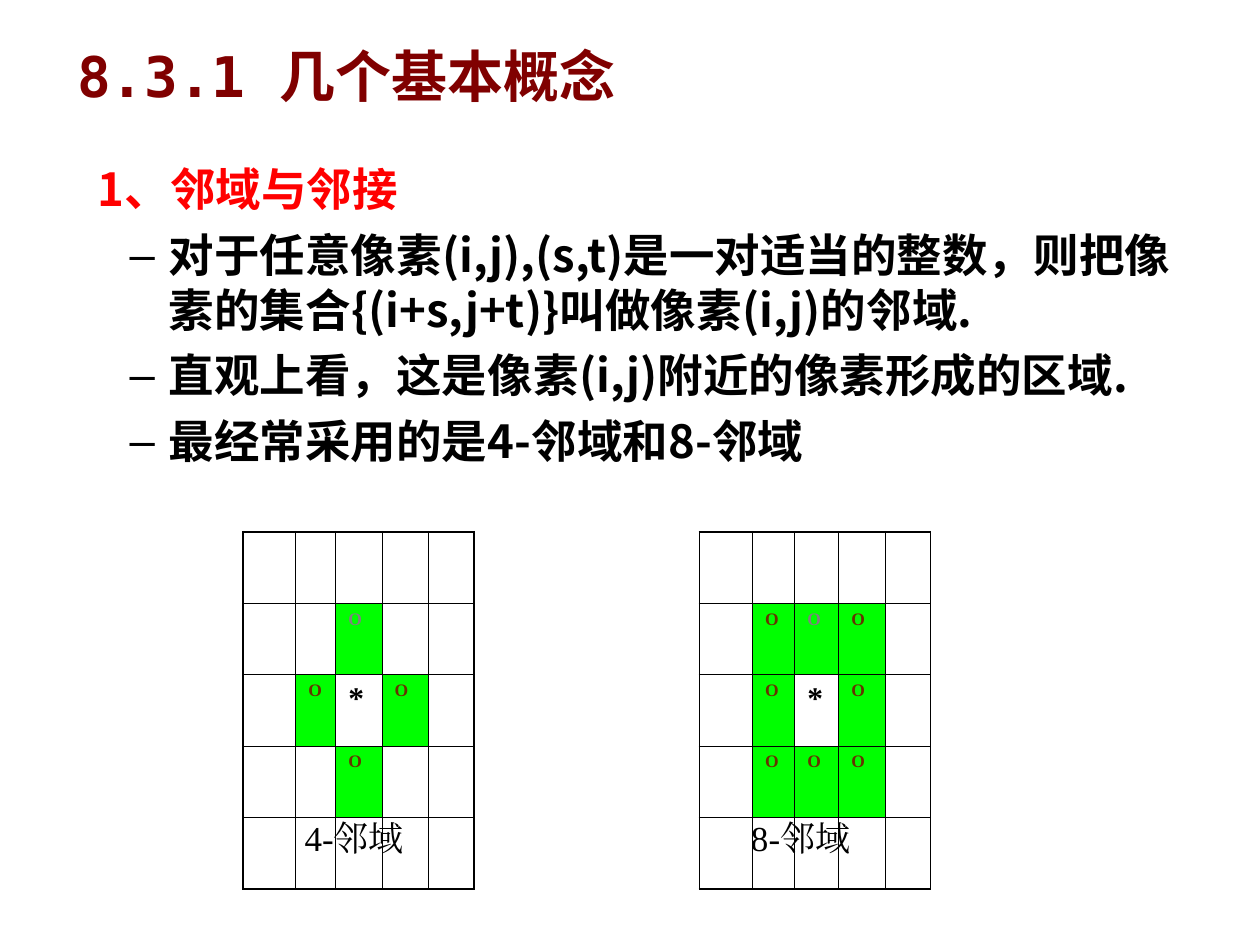
from dataclasses import dataclass

from lxml.etree import SubElement
from pptx import Presentation
from pptx.dml.color import RGBColor
from pptx.enum.text import MSO_ANCHOR, MSO_AUTO_SIZE, PP_ALIGN
from pptx.oxml.ns import qn
from pptx.util import Cm, Pt


@dataclass(frozen=True)
class Theme:
    """Colours, fonts and type sizes of the slide."""
    ink: str = "000000"
    title: str = "800000"
    heading: str = "FF0000"
    neighbour: str = "00FF00"
    mark: str = "663300"
    muted: str = "808080"
    mono: str = "DejaVu Sans Mono"
    sans: str = "Noto Sans CJK SC"
    serif: str = "Times New Roman"
    title_size: float = 32
    body_size: float = 26
    caption_size: float = 20
    centre_size: float = 18
    mark_size: float = 10
    outer_line: float = 1.08
    inner_line: float = 0.45


@dataclass(frozen=True)
class Box:
    """A region in centimetres."""
    left: float
    top: float
    width: float
    height: float

    def lengths(self):
        """Return the four sides as slide lengths."""
        return [Cm(side) for side in (self.left, self.top, self.width, self.height)]


THEME = Theme()


def add_span(para, text, font, size, color, bold=True):
    """Append one formatted run to a paragraph."""
    span = para.add_run()
    span.text = text
    span.font.name = font
    span.font.size = Pt(size)
    span.font.bold = bold
    span.font.color.rgb = RGBColor.from_string(color)
    SubElement(span.font._element, qn("a:ea"), typeface=font)


def place(shape, box):
    """Move a placeholder into a box and return its top-anchored frame."""
    shape.left, shape.top, shape.width, shape.height = box.lengths()
    frame = shape.text_frame
    frame.word_wrap = True
    frame.auto_size = MSO_AUTO_SIZE.NONE
    frame.vertical_anchor = MSO_ANCHOR.TOP
    return frame


def set_list_style(para, margin, indent, bullet=None):
    """Set the indents of a list paragraph and its bullet."""
    properties = para._p.get_or_add_pPr()
    properties.set("marL", str(Cm(margin)))
    properties.set("indent", str(Cm(indent)))
    if bullet:
        color = SubElement(properties, qn("a:buClr"))
        SubElement(color, qn("a:srgbClr"), val=THEME.ink)
        SubElement(properties, qn("a:buChar"), char=bullet)
    else:
        SubElement(properties, qn("a:buNone"))


def fill_title(page, box):
    """Write the section number and title."""
    para = place(page.shapes.title, box).paragraphs[0]
    para.alignment = PP_ALIGN.LEFT
    add_span(para, "8.3.1 ", THEME.mono, THEME.title_size, THEME.title)
    add_span(para, "几个基本概念", THEME.sans, THEME.title_size, THEME.title)


def fill_body(page, box, heading, points):
    """Write the heading and its list of points."""
    frame = place(page.placeholders[1], box)
    para = frame.paragraphs[0]
    set_list_style(para, 0.63, 0)
    para.space_before = Pt(0)
    add_span(para, heading, THEME.sans, THEME.body_size, THEME.heading)
    for point in points:
        para = frame.add_paragraph()
        para.level = 1
        set_list_style(para, 2.06, -0.79, "–")
        para.space_before = Pt(6.5)
        add_span(para, point, THEME.sans, THEME.body_size, THEME.ink)


def add_captions(page, box, captions, tab):
    """Write the grid captions on one line, parted by a tab stop."""
    frame = page.shapes.add_textbox(*box.lengths()).text_frame
    frame.word_wrap = True
    para = frame.paragraphs[0]
    stops = SubElement(para._p.get_or_add_pPr(), qn("a:tabLst"))
    SubElement(stops, qn("a:tab"), pos=str(Cm(tab)), algn="l")
    add_span(para, "\t".join(captions), THEME.serif, THEME.caption_size, THEME.ink, False)


def draw_borders(cell, outer_sides):
    """Draw the four borders of a cell, heavier on the outer sides."""
    properties = cell._tc.get_or_add_tcPr()
    for side in "LRTB":
        width = THEME.outer_line if side in outer_sides else THEME.inner_line
        line = SubElement(properties, qn(f"a:ln{side}"), w=str(Pt(width)))
        paint = SubElement(line, qn("a:solidFill"))
        SubElement(paint, qn("a:srgbClr"), val=THEME.ink)


def add_grid(page, box, columns, pattern):
    """Draw a pixel grid: o marks a neighbour, g a grey one, * the centre."""
    count = len(pattern)
    table = page.shapes.add_table(count, len(columns), *box.lengths()).table
    table.first_row = table.horz_banding = False
    for column, width in zip(table.columns, columns):
        column.width = Cm(width)
    for row, symbols in enumerate(pattern):
        table.rows[row].height = Cm(box.height / count)
        for col, symbol in enumerate(symbols):
            cell = table.cell(row, col)
            edges = {"L": col == 0, "R": col == len(columns) - 1,
                     "T": row == 0, "B": row == count - 1}
            draw_borders(cell, [side for side, outer in edges.items() if outer])
            para = cell.text_frame.paragraphs[0]
            if symbol in "og":
                cell.fill.solid()
                cell.fill.fore_color.rgb = RGBColor.from_string(THEME.neighbour)
                color = THEME.mark if symbol == "o" else THEME.muted
                add_span(para, "O", THEME.serif, THEME.mark_size, color)
            else:
                cell.fill.background()
                if symbol == "*":
                    add_span(para, "*", THEME.serif, THEME.centre_size, THEME.ink)


def main():
    """Build the slide on neighbourhoods and save it."""
    deck = Presentation()
    deck.slide_width, deck.slide_height = Cm(25.4), Cm(19.05)
    page = deck.slides.add_slide(deck.slide_layouts[1])
    fill_title(page, Box(1.3, 0.71, 22.86, 2.21))
    fill_body(page, Box(1.09, 3.12, 22.81, 7.01), "1、邻域与邻接", [
        "对于任意像素(i,j),(s,t)是一对适当的整数，则把像素的集合{(i+s,j+t)}叫做像素(i,j)的邻域.",
        "直观上看，这是像素(i,j)附近的像素形成的区域.",
        "最经常采用的是4-邻域和8-邻域",
    ])
    add_captions(page, Box(5.89, 16.33, 13, 1.12), ["4-邻域", "8-邻域"], 9)
    add_grid(page, Box(4.9, 10.72, 4.66, 7.2), [1.06, 0.81, 0.93, 0.93, 0.93],
             ["     ", "  g  ", " o*o ", "  o  ", "     "])
    add_grid(page, Box(14.1, 10.72, 4.66, 7.2), [1.07, 0.85, 0.89, 0.93, 0.92],
             ["     ", " ogo ", " o*o ", " ooo ", "     "])
    deck.save("out.pptx")


if __name__ == "__main__":
    main()
